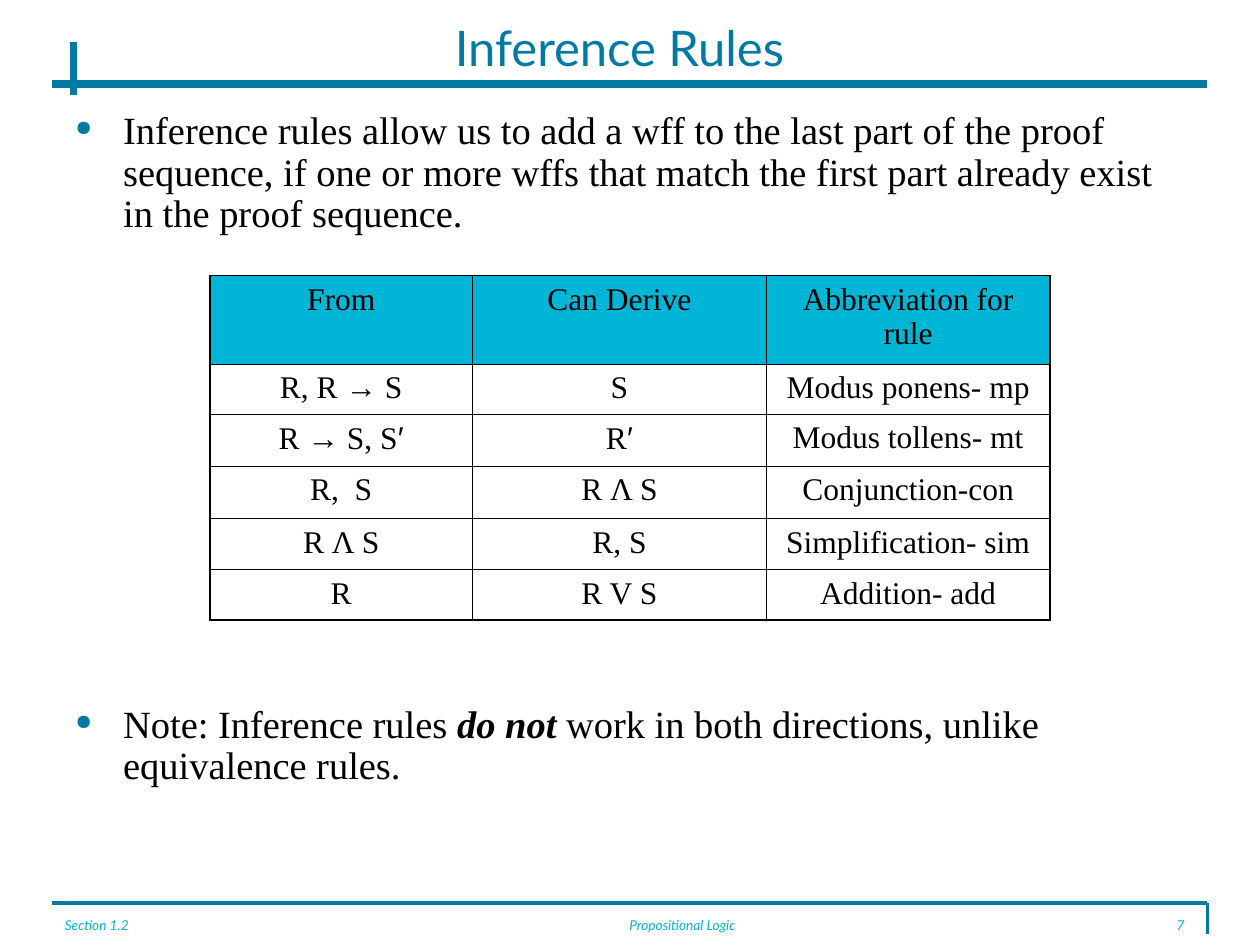
from itertools import groupby

from lxml.etree import SubElement
from pptx import Presentation
from pptx.dml.color import RGBColor
from pptx.enum.shapes import MSO_CONNECTOR
from pptx.enum.text import MSO_ANCHOR, PP_ALIGN
from pptx.oxml.ns import qn
from pptx.util import Inches, Pt

BLUE, CYAN, BLACK = "007AA5", "00B5D6", "000000"
HEADING_FONT, BODY_FONT, SYMBOL_FONT = "Lato", "Times New Roman", "Arial"


def grid(*steps):
    """Turn steps of a 120 by 90 grid over the slide into lengths."""
    return [Inches(step / 12) for step in steps]


def set_font(font, name, size, color):
    font.name, font.size = name, Pt(size)
    font.color.rgb = RGBColor.from_string(color)


prs = Presentation()
prs.slide_width, prs.slide_height = grid(120, 90)
slide = prs.slides.add_slide(prs.slide_layouts[6])

# Rules above and below the content
rules = [
    (5, 86, 115, 86, 2.25),
    (115, 86, 115, 89, 2.25),
    (5, 8, 115, 8, 4.5),
    (7, 4, 7, 9, 4.5),
]
for *ends, width in rules:
    rule = slide.shapes.add_connector(MSO_CONNECTOR.STRAIGHT, *grid(*ends))
    rule.line.color.rgb = RGBColor.from_string(BLUE)
    rule.line.width = Pt(width)
    SubElement(rule._element.spPr, qn("a:effectLst"))

# Footer and title
labels = [
    ("Section 1.2", (5, 87, 21, 3), PP_ALIGN.LEFT, 7.8, CYAN),
    ("Propositional Logic", (40, 87, 50, 3), PP_ALIGN.CENTER, 7.8, CYAN),
    ("7", (105, 87, 9, 3), PP_ALIGN.RIGHT, 7.8, CYAN),
    ("Inference Rules", (8, 2, 102, 5), PP_ALIGN.CENTER, 28, BLUE),
]
for text, place, alignment, size, color in labels:
    is_footer = color == CYAN
    frame = slide.shapes.add_textbox(*grid(*place)).text_frame
    frame.word_wrap = True
    frame.vertical_anchor = MSO_ANCHOR.TOP if is_footer else MSO_ANCHOR.MIDDLE
    label = frame.paragraphs[0]
    label.text, label.alignment = text, alignment
    label.line_spacing = 0.8 if is_footer else 1.0
    set_font(label.font, HEADING_FONT, size, color)
    label.font.italic = is_footer

# Explanation, with room for the table between its two points
body = slide.shapes.add_textbox(*grid(6, 10, 108, 74)).text_frame
body.word_wrap = True
explanation, note = body.paragraphs[0], body.add_paragraph()
explanation.text = (
    "Inference rules allow us to add a wff to the last part of the proof sequence, "
    "if one or more wffs that match the first part already exist in the proof sequence."
)
for text, stressed in [
    ("Note: Inference rules ", False),
    ("do not", True),
    (" work in both directions, unlike equivalence rules.", False),
]:
    run = note.add_run()
    run.text = text
    run.font.bold = run.font.italic = stressed
note.space_before = Pt(268)
for point in (explanation, note):
    point.line_spacing = 0.9
    props = point._p.get_or_add_pPr()
    indent = Inches(0.38)
    props.set("marL", str(indent))
    props.set("indent", str(-indent))
    bullet_color = SubElement(props, qn("a:buClr"))
    SubElement(bullet_color, qn("a:srgbClr"), val=BLUE)
    SubElement(props, qn("a:buSzPct"), val="55000")
    SubElement(props, qn("a:buChar"), char="●")
    set_font(point.font, BODY_FONT, 22, BLACK)

# Table of rules
inference_rules = [
    ("From", "Can Derive", "Abbreviation for rule"),
    ("R, R → S", "S", "Modus ponens- mp"),
    ("R → S, S′", "R′", "Modus tollens- mt"),
    ("R,  S", "R Λ S", "Conjunction-con"),
    ("R Λ S", "R, S", "Simplification- sim"),
    ("R", "R V S", "Addition- add"),
]
column_widths = grid(25, 28, 27)
row_heights = grid(8.4, 4.8, 4.95, 5, 4.85, 4.8)
last_row, last_column = len(row_heights) - 1, len(column_widths) - 1
table = slide.shapes.add_table(
    len(row_heights), len(column_widths), *grid(20, 26.25),
    sum(column_widths), sum(row_heights),
).table
table.first_row = table.horz_banding = False
for column, width in zip(table.columns, column_widths):
    column.width = width
for row, height in zip(table.rows, row_heights):
    row.height = height

for r, entries in enumerate(inference_rules):
    for c, entry in enumerate(entries):
        cell = table.cell(r, c)
        outer_edges = {"L": c == 0, "R": c == last_column, "T": r == 0, "B": r == last_row}
        for side, is_outer in outer_edges.items():
            border = SubElement(
                cell._tc.get_or_add_tcPr(), qn(f"a:ln{side}"),
                w=str(Pt(1.08 if is_outer else 0.45)),
            )
            SubElement(SubElement(border, qn("a:solidFill")), qn("a:srgbClr"), val=BLACK)
        if r == 0:
            cell.fill.solid()
            cell.fill.fore_color.rgb = RGBColor.from_string(CYAN)
        else:
            cell.fill.background()
        formula = cell.text_frame.paragraphs[0]
        formula.alignment = PP_ALIGN.CENTER
        for is_symbol, characters in groupby(entry, key=lambda ch: ch in "→′"):
            run = formula.add_run()
            run.text = "".join(characters)
            set_font(run.font, SYMBOL_FONT if is_symbol else BODY_FONT, 18, BLACK)

prs.save("out.pptx")
